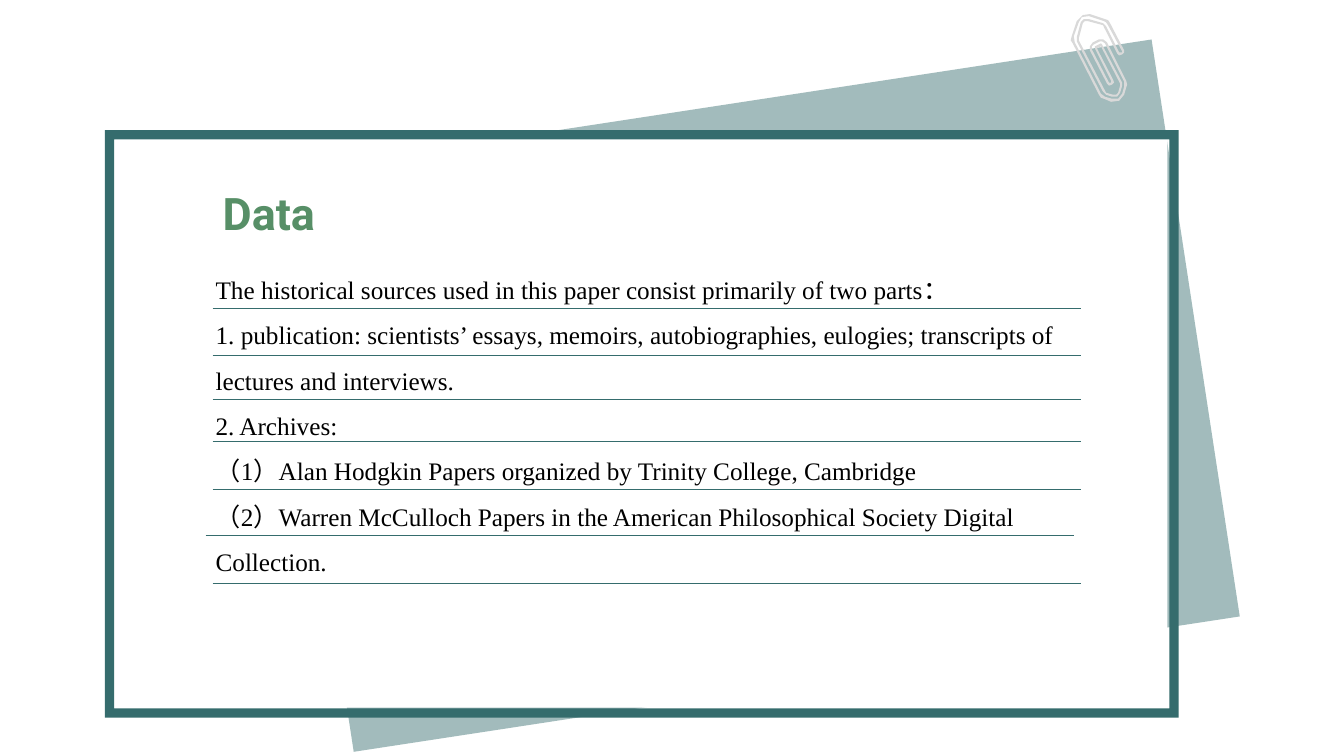
from lxml.etree import SubElement
from pptx import Presentation
from pptx.dml.color import RGBColor
from pptx.enum.shapes import MSO_CONNECTOR, MSO_SHAPE
from pptx.oxml.ns import qn
from pptx.util import Inches, Pt

COLORS = {
    "teal": "356C6D",
    "green": "578F67",
    "paper": "FFFFFF",
    "ink": "000000",
    "clip": "D9D9D9",
}

SOURCES = [
    "The historical sources used in this paper consist primarily of two parts：",
    "1. publication: scientists’ essays, memoirs, autobiographies, eulogies; "
    "transcripts of lectures and interviews.",
    "2. Archives:",
    "（1）Alan Hodgkin Papers organized by Trinity College, Cambridge",
    "（2）Warren McCulloch Papers in the American Philosophical Society Digital Collection.",
]

RULES = [(0.07, 0.54), (0.07, 1.01), (0.07, 1.44), (0.07, 1.86),
         (0.07, 2.33), (0, 2.79), (0.07, 3.27)]

CLIP_OUTER = [
    (8, 11), (3, 26), (2, 30), (4, 33), (30, 84), (32, 87), (35, 88), (42, 91),
    (50, 90), (55, 84), (57, 77), (58, 74), (57, 70), (38, 32), (34, 29), (30, 29),
    (24, 32), (21, 36), (21, 40), (38, 73), (40, 75), (43, 74), (45, 72), (44, 69),
    (28, 38), (32, 36), (51, 73), (51, 75), (49, 82), (47, 84), (44, 84), (37, 82),
    (36, 80), (10, 30), (10, 28), (14, 13), (16, 11), (19, 11), (34, 15), (35, 17),
    (48, 43), (50, 45), (53, 44), (55, 42), (55, 40), (41, 13), (39, 10), (36, 9),
    (21, 4), (14, 5),
]
CLIP_INNER = [
    (35, 11), (37, 12), (39, 15), (53, 41), (53, 42), (52, 42), (51, 42), (50, 42),
    (37, 16), (34, 13), (20, 9), (15, 9), (12, 12), (8, 27), (8, 31), (34, 81),
    (37, 84), (43, 86), (48, 86), (51, 82), (53, 75), (53, 72), (33, 34), (32, 33),
    (26, 36), (26, 38), (42, 70), (42, 72), (40, 72), (23, 39), (23, 36), (25, 34),
    (31, 31), (33, 31), (36, 33), (55, 71), (55, 76), (53, 83), (49, 88), (43, 88),
    (36, 86), (32, 83), (6, 32), (5, 26), (10, 12), (13, 7), (20, 6),
]


def color(name):
    return RGBColor.from_string(COLORS[name])


def paint(shape, name):
    shape.shadow.inherit = False
    shape.fill.solid()
    shape.fill.fore_color.rgb = color(name)
    shape.line.fill.background()


def add_panel(slide, preset, left, top, width, height, name):
    panel = slide.shapes.add_shape(
        preset, Inches(left), Inches(top), Inches(width), Inches(height))
    paint(panel, name)
    return panel


def add_backdrop(slide, left, top, width, height):
    backdrop = add_panel(slide, MSO_SHAPE.RECTANGLE, left, top, width, height, "teal")
    backdrop.rotation = 351.3
    tint = backdrop.fill._xPr.find(qn("a:solidFill"))[0]
    SubElement(tint, qn("a:alpha"), val="46000")


def add_card(slide, left, top, width, height):
    add_panel(slide, MSO_SHAPE.RECTANGLE,
              left + 0.21, top + 0.09, width - 0.32, height - 0.19, "paper")
    border = add_panel(slide, MSO_SHAPE.FRAME, left, top, width, height, "teal")
    border.adjustments[0] = 0.016


def add_text(slide, left, top, width, height, lines, font, size, name,
             bold=False, spacing=1.0):
    box = slide.shapes.add_textbox(
        Inches(left), Inches(top), Inches(width), Inches(height))
    frame = box.text_frame
    frame.word_wrap = True
    frame.text = "\n".join(lines)
    for paragraph in frame.paragraphs:
        paragraph.line_spacing = spacing
        for run in paragraph.runs:
            run.font.name = font
            run.font.size = Pt(size)
            run.font.bold = bold
            run.font.color.rgb = color(name)


def add_ruled_notes(slide, left, top, width, height):
    add_text(slide, left, top, width, height, SOURCES,
             "Times New Roman", 18, "ink", spacing=1.5)
    for indent, drop in RULES:
        start, level = left + indent, top + drop
        rule = slide.shapes.add_connector(
            MSO_CONNECTOR.STRAIGHT, Inches(start), Inches(level),
            Inches(start + 8.61), Inches(level))
        rule.line.color.rgb = color("teal")
        rule.line.width = Pt(0.5)
        SubElement(rule._element.spPr, qn("a:effectLst"))


def add_paper_clip(slide, left, top):
    outline = slide.shapes.build_freeform(*CLIP_OUTER[0], scale=Inches(0.01))
    outline.add_line_segments(CLIP_OUTER[1:], close=True)
    outline.move_to(*CLIP_INNER[0])
    outline.add_line_segments(CLIP_INNER[1:], close=True)
    paint(outline.convert_to_shape(Inches(left), Inches(top)), "clip")


def build_data_slide(deck):
    slide = deck.slides.add_slide(deck.slide_layouts[6])
    add_backdrop(slide, 3.02, 1.03, 8.89, 5.79)
    add_card(slide, 1.04, 1.29, 10.65, 5.83)
    add_text(slide, 2.11, 1.79, 8.61, 0.64, ["Data"], "Roboto", 32, "green", bold=True)
    add_ruled_notes(slide, 2.04, 2.52, 8.75, 4.41)
    add_paper_clip(slide, 10.6, 0.1)


def main():
    deck = Presentation()
    deck.slide_width = Inches(13.33)
    deck.slide_height = Inches(7.5)
    build_data_slide(deck)
    deck.save("out.pptx")


if __name__ == "__main__":
    main()
